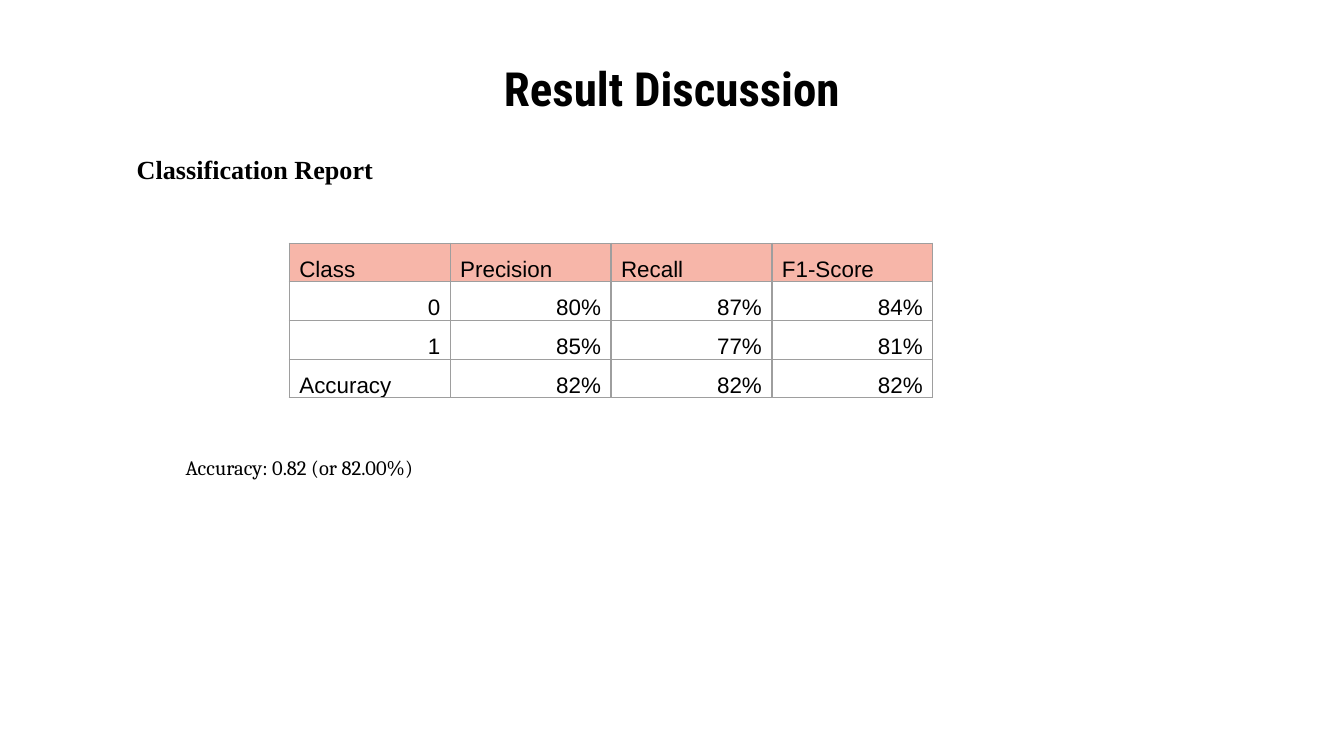
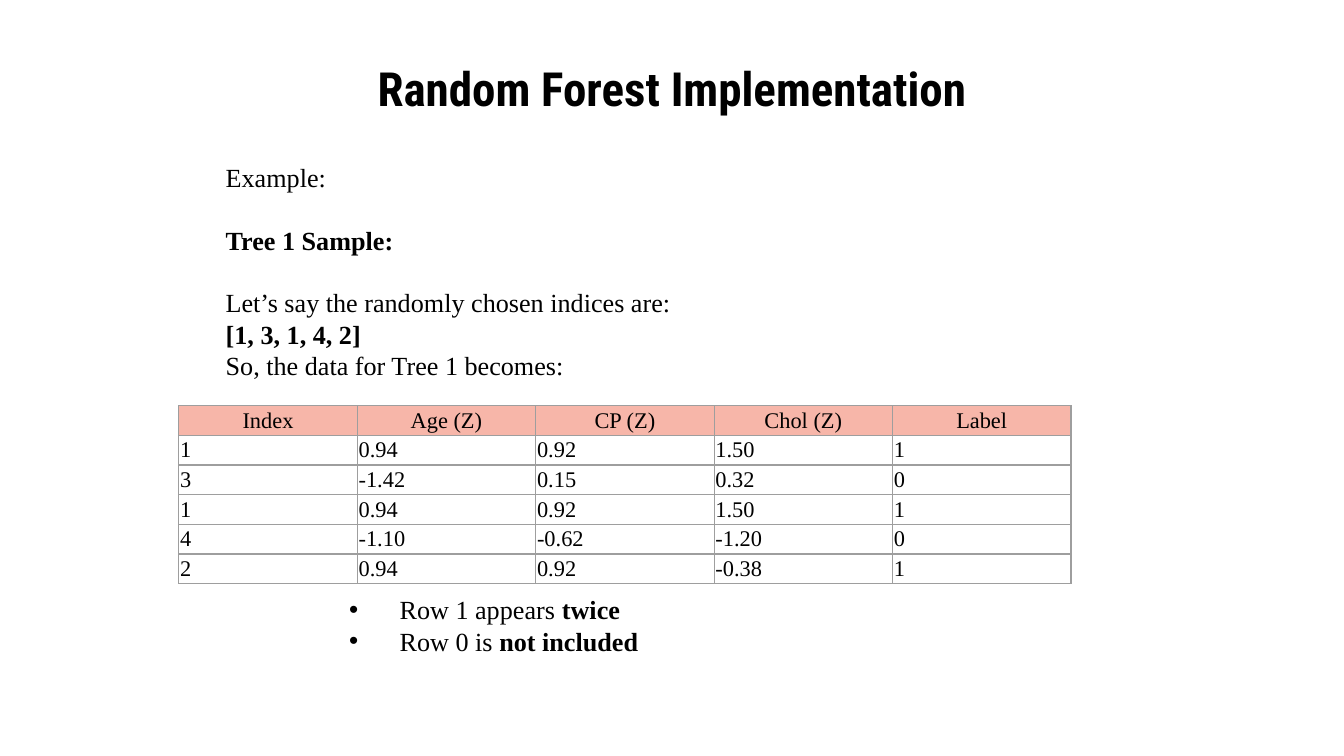
from lxml import etree
from pptx import Presentation
from pptx import util as u
from pptx.dml.color import RGBColor
from pptx.enum import text
from pptx.oxml import ns

Pt = u.Pt
ALIGN, ANCHOR = text.PP_ALIGN, text.MSO_ANCHOR
COLORS = {"ink": "000000", "paper": "FFFFFF", "header": "F7B6A9", "border": "9E9E9E"}
TITLE_FONT, SERIF, SANS, NOTE_FONT = "Roboto Condensed", "Times New Roman", "Arial", "Cambria"
LINE = 16.8  # line pitch of 14 pt body text


def color(name):
    return RGBColor.from_string(COLORS[name])


class SlideBuilder:
    """Holds the deck, its style and the current slide."""

    def __init__(self):
        self.deck = Presentation()
        self.deck.slide_width, self.deck.slide_height = Pt(720), Pt(405)
        self.page = None

    def new_page(self, title):
        self.page = self.deck.slides.add_slide(self.deck.slide_layouts[6])
        fill = self.page.background.fill
        fill.solid()
        fill.fore_color.rgb = color("paper")
        self.text_box((36, 32.4, 648, 29.5), [{"runs": [(title, False)]}], TITLE_FONT, 25.2,
                      bold=True, align=ALIGN.CENTER, anchor=ANCHOR.MIDDLE, insets=(7.2,) * 4)

    def set_font(self, font, name, size, bold=False):
        font.name, font.size, font.bold = name, Pt(size), bold
        font.color.rgb = color("ink")

    def set_insets(self, target, insets):
        (target.margin_left, target.margin_top,
         target.margin_right, target.margin_bottom) = map(Pt, insets)

    def text_box(self, place, paras, font, size, bold=False, align=ALIGN.LEFT,
                 anchor=ANCHOR.TOP, insets=(7.2, 3.6, 7.2, 3.6), line=None, bullet=False):
        """Each para is a dict: runs as (words, bold) pairs, and an optional gap above."""
        frame = self.page.shapes.add_textbox(*map(Pt, place)).text_frame
        frame.word_wrap, frame.vertical_anchor = True, anchor
        self.set_insets(frame, insets)
        for index, item in enumerate(paras):
            para = frame.add_paragraph() if index else frame.paragraphs[0]
            para.alignment = align
            if line:
                para.line_spacing = Pt(line)
            if "gap" in item:
                para.space_before = Pt(item["gap"])
            if bullet:
                self.add_bullet(para)
            runs = item["runs"]
            self.set_font(para.font, font, size, bold or all(strong for _, strong in runs))
            for words, strong in runs:
                span = para.add_run()
                span.text = words
                if len(runs) > 1:
                    self.set_font(span.font, font, size, strong)

    def add_bullet(self, para):
        props = para._p.get_or_add_pPr()
        props.set("marL", str(Pt(27)))
        props.set("indent", str(-Pt(27)))
        etree.SubElement(props, ns.qn("a:buFont")).set("typeface", SANS)
        etree.SubElement(props, ns.qn("a:buChar")).set("char", "•")

    def add_borders(self, cell):
        props = cell._tc.get_or_add_tcPr()
        for side in ("lnL", "lnR", "lnT", "lnB"):
            edge = etree.SubElement(props, ns.qn("a:" + side), w=str(Pt(0.75)))
            fill = etree.SubElement(edge, ns.qn("a:solidFill"))
            etree.SubElement(fill, ns.qn("a:srgbClr")).set("val", COLORS["border"])

    def table(self, left, top, column, row, rows, font, align, anchor, insets, spacing=None):
        """align is a function of the row number and the cell's words."""
        count = len(rows[0])
        grid = self.page.shapes.add_table(len(rows), count, Pt(left), Pt(top),
                                          Pt(column * count), Pt(row * len(rows))).table
        grid.first_row = grid.horz_banding = False
        for r, values in enumerate(rows):
            for c, words in enumerate(values):
                cell = grid.cell(r, c)
                self.add_borders(cell)
                if r == 0:
                    cell.fill.solid()
                    cell.fill.fore_color.rgb = color("header")
                else:
                    cell.fill.background()
                cell.text = words
                cell.vertical_anchor = anchor
                self.set_insets(cell, insets)
                para = cell.text_frame.paragraphs[0]
                para.alignment = align(r, words)
                para.line_spacing = spacing
                self.set_font(para.font, font, 12)


def build_results(builder):
    builder.new_page("Result Discussion")
    builder.text_box((99.4, 220.3, 130.3, 36.7), [{"runs": [("Accuracy: 0.82 (or 82.00%)", False)]}],
                     NOTE_FONT, 11, anchor=ANCHOR.BOTTOM, insets=(0, 0, 0, 0))
    builder.text_box((66.2, 78.5, 249, 41), [{"runs": [("Classification Report", True)]}],
                     SERIF, 14, line=LINE)
    # Scores: words to the left, numbers to the right
    scores = [
        ["Class", "Precision", "Recall", "F1-Score"],
        ["0", "80%", "87%", "84%"],
        ["1", "85%", "77%", "81%"],
        ["Accuracy", "82%", "82%", "82%"],
    ]
    builder.table(155, 130.3, 86.2, 20.7, scores, SANS,
                  lambda r, words: ALIGN.RIGHT if words[0].isdigit() else ALIGN.LEFT,
                  ANCHOR.BOTTOM, (5.4, 0, 5.4, 0), spacing=1.07)


def build_forest(builder):
    builder.new_page("Random Forest Implementation")
    # Sampling example
    builder.text_box((113.8, 82.8, 255.6, 143.3), [
        {"runs": [("Example:", False)]},
        {"runs": [("Tree 1 Sample:", True)], "gap": LINE},
        {"runs": [("Let’s say the randomly chosen indices are:", False)], "gap": LINE},
        {"runs": [("[1, 3, 1, 4, 2]", True)]},
        {"runs": [("So, the data for Tree 1 becomes:", False)]},
    ], SERIF, 14, line=LINE)
    # Sampled rows
    samples = [
        ["Index", "Age (Z)", "CP (Z)", "Chol (Z)", "Label"],
        ["1", "0.94", "0.92", "1.50", "1"],
        ["3", "-1.42", "0.15", "0.32", "0"],
        ["1", "0.94", "0.92", "1.50", "1"],
        ["4", "-1.10", "-0.62", "-1.20", "0"],
        ["2", "0.94", "0.92", "-0.38", "1"],
    ]
    builder.table(95.8, 217.3, 95.6, 15.9, samples, SERIF,
                  lambda r, words: ALIGN.LEFT if r else ALIGN.CENTER,
                  ANCHOR.MIDDLE, (0.75,) * 4)
    # Remarks
    builder.text_box((180, 314.6, 189.4, 58.3), [
        {"runs": [("Row 1 appears ", False), ("twice", True)]},
        {"runs": [("Row 0 is ", False), ("not included", True)]},
    ], SERIF, 14, line=LINE, bullet=True)


def main():
    builder = SlideBuilder()
    build_results(builder)
    build_forest(builder)
    builder.deck.save("out.pptx")


if __name__ == "__main__":
    main()
